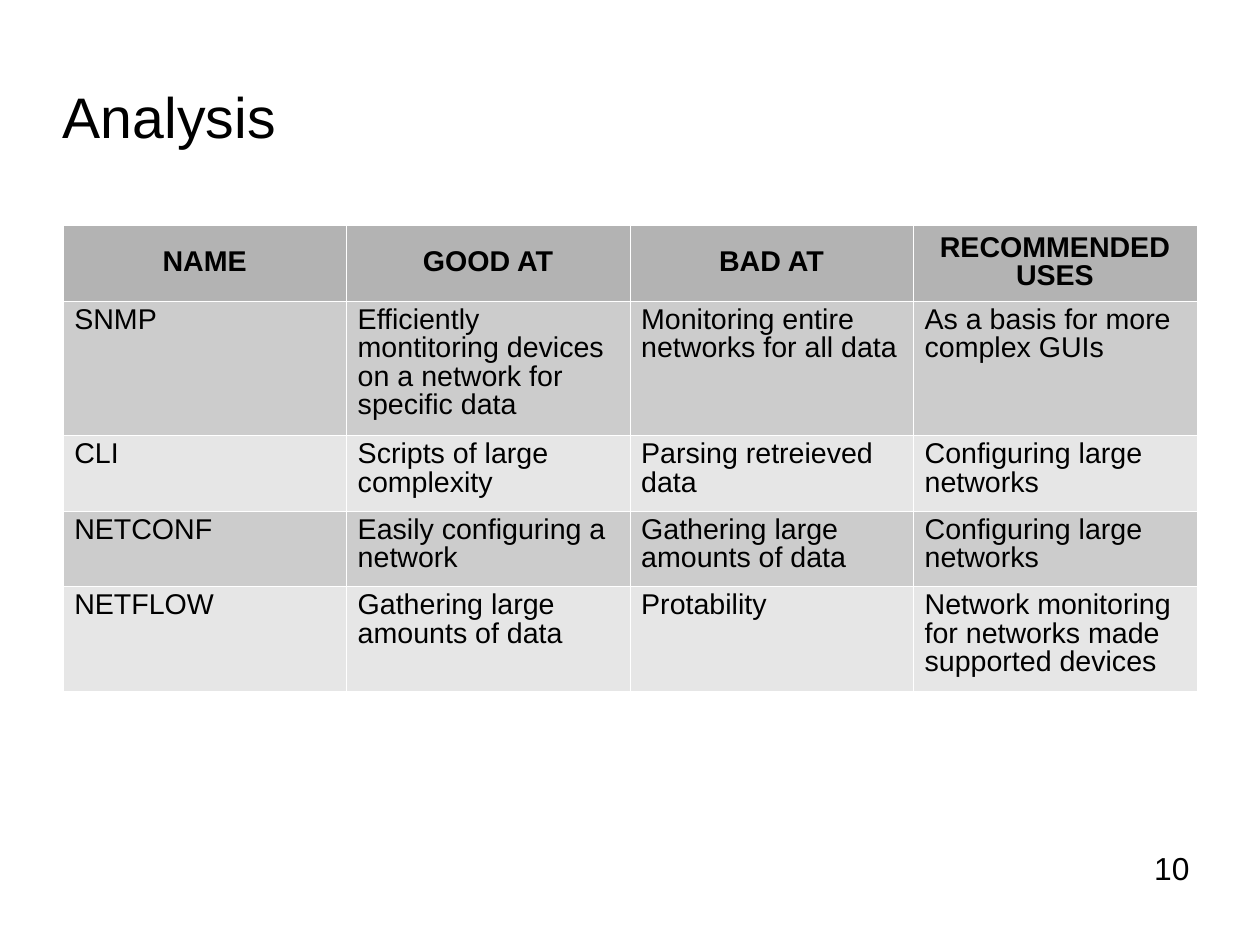
"""Build the Analysis slide comparing network management tools."""
from lxml.etree import SubElement
from pptx import Presentation
from pptx.dml.color import RGBColor
from pptx.enum.text import MSO_ANCHOR, PP_ALIGN
from pptx.oxml import parse_xml
from pptx.oxml.ns import nsdecls, qn
from pptx.util import Inches, Pt


def color(value):
    return RGBColor.from_string(value)


def style(p, size, spacing, bold=False, align=PP_ALIGN.LEFT):
    p.alignment = align
    p.line_spacing = spacing
    p.space_before = p.space_after = Pt(0)
    tabs = SubElement(p._p.get_or_add_pPr(), qn("a:tabLst"))
    for i in range(8):
        SubElement(tabs, qn("a:tab"), pos=str(Inches(0.49 * i)), algn="l")
    p.font.name = "Arial"
    p.font.size = Pt(size)
    p.font.bold = bold
    p.font.color.rgb = color("000000")


prs = Presentation()
prs.slide_width = Inches(28 / 2.54)
prs.slide_height = Inches(21 / 2.54)
s = prs.slides.add_slide(prs.slide_layouts[5])

title = s.shapes.title
title.left, title.top = Inches(0.55), Inches(0.63)
title.width, title.height = Inches(7.87), Inches(0.79)
tf = title.text_frame
tf.text = "Analysis"
tf.vertical_anchor = MSO_ANCHOR.MIDDLE
tf.margin_left = tf.margin_right = tf.margin_bottom = 0
tf.margin_top = Inches(0.03)
style(tf.paragraphs[0], 36, 0.94)

rows = [
    ("NAME", "GOOD AT", "BAD AT", "RECOMMENDED USES"),
    ("SNMP", "Efficiently montitoring devices on a network for specific data",
     "Monitoring entire networks for all data", "As a basis for more complex GUIs"),
    ("CLI", "Scripts of large complexity", "Parsing retreieved data",
     "Configuring large networks"),
    ("NETCONF", "Easily configuring a network", "Gathering large amounts of data",
     "Configuring large networks"),
    ("NETFLOW", "Gathering large amounts of data", "Protability",
     "Network monitoring for networks made supported devices"),
]
heights = [0.66, 1.18, 0.66, 0.66, 0.92]
fills = ["B3B3B3", "CCCCCC", "E6E6E6", "CCCCCC", "E6E6E6"]

table = s.shapes.add_table(len(rows), 4, Inches(0.55), Inches(1.97),
                           Inches(9.92), Inches(4.09)).table
for col in table.columns:
    col.width = Inches(2.48)
for i, (texts, height, fill) in enumerate(zip(rows, heights, fills)):
    table.rows[i].height = Inches(height)
    header = i == 0
    for cell, text in zip(table.rows[i].cells, texts):
        cell.text = text
        cell.vertical_anchor = MSO_ANCHOR.MIDDLE if header else MSO_ANCHOR.TOP
        cell.margin_left = cell.margin_right = Inches(0.1)
        cell.margin_top = cell.margin_bottom = Inches(0.05)
        cell.fill.solid()
        cell.fill.fore_color.rgb = color(fill)
        style(cell.text_frame.paragraphs[0], 18, 0.89, header,
              PP_ALIGN.CENTER if header else PP_ALIGN.LEFT)
        for k, side in enumerate(("lnL", "lnR", "lnT", "lnB")):
            border = parse_xml(
                f'<a:{side} {nsdecls("a")} w="{Pt(0.06)}"><a:solidFill>'
                f'<a:srgbClr val="FFFFFF"/></a:solidFill></a:{side}>')
            cell._tc.get_or_add_tcPr().insert(k, border)

number = s.shapes.add_textbox(Inches(10), Inches(7.4), Inches(0.7), Inches(0.41))
tf = number.text_frame
tf.word_wrap = True
tf.text = "10"
style(tf.paragraphs[0], 20, 0.94)

prs.save("out.pptx")
